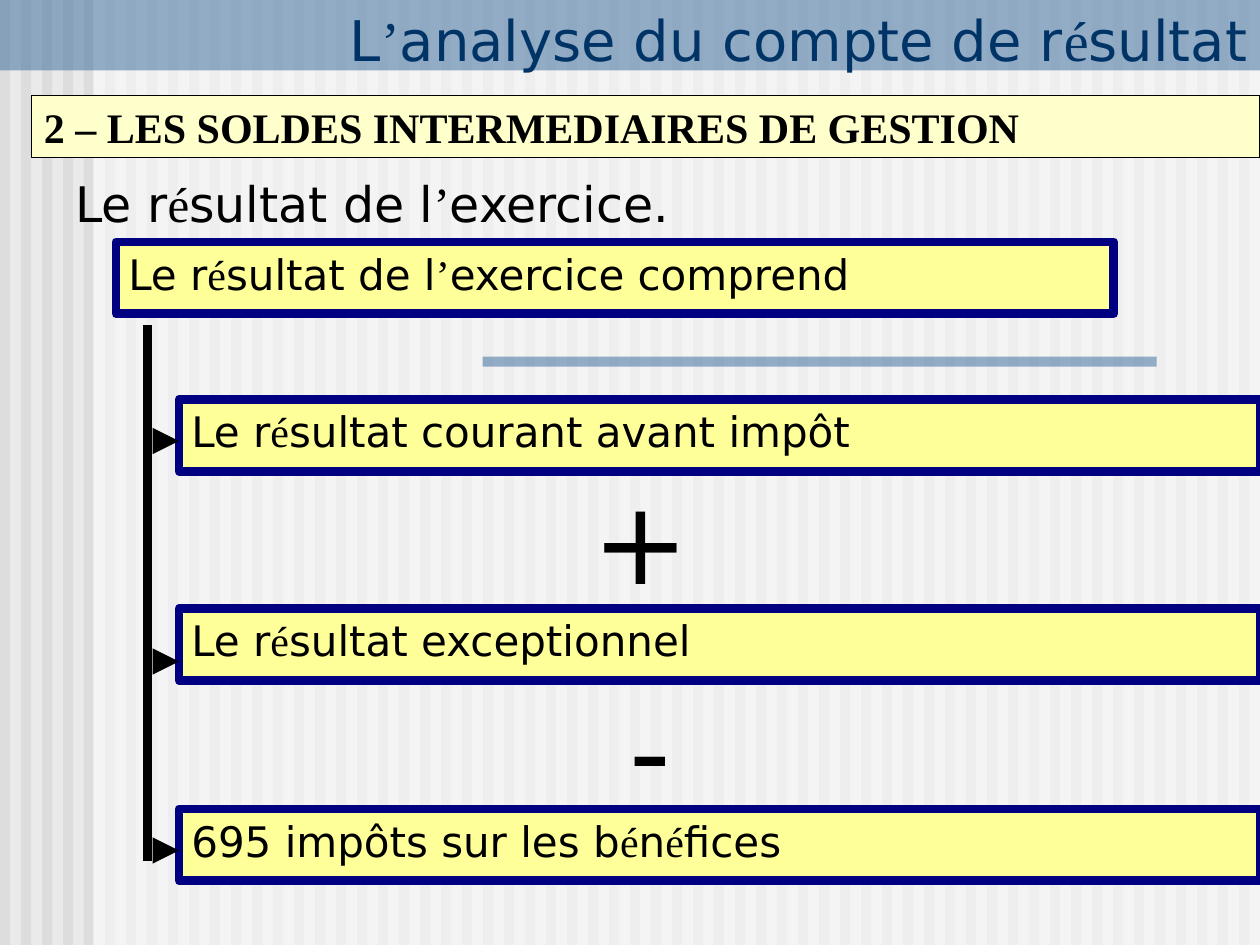
import itertools
from dataclasses import dataclass

import pptx
import pptx.util
import pptx.dml.color
import pptx.enum.shapes
import pptx.enum.text
import pptx.oxml
import pptx.oxml.ns

Inches = pptx.util.Inches
Pt = pptx.util.Pt
ALIGN = pptx.enum.text.PP_ALIGN
ANCHOR = pptx.enum.text.MSO_ANCHOR
FIT = pptx.enum.text.MSO_AUTO_SIZE
RECT = pptx.enum.shapes.MSO_SHAPE.RECTANGLE
STRAIGHT = pptx.enum.shapes.MSO_CONNECTOR.STRAIGHT


@dataclass(frozen=True)
class Theme:
    back: str = "EAEAEA"
    stripe: str = "DDDDDD"
    white: str = "FFFFFF"
    blue: str = "336699"
    title: str = "003366"
    ink: str = "000000"
    cream: str = "FFFFCC"
    yellow: str = "FFFF99"
    navy: str = "000080"
    sans: str = "DejaVu Sans"
    serif: str = "Times New Roman"
    title_size: int = 32
    topic_size: int = 28
    text_size: int = 24
    sign_size: int = 66
    thin: float = 0.75
    thick: float = 5


THEME = Theme()


def rgb(code):
    return pptx.dml.color.RGBColor.from_string(code)


def inch(box):
    return [Inches(value) for value in box]


def add_tag(parent, name, **values):
    tag = pptx.oxml.parse_xml(f"<a:{name} {pptx.oxml.ns.nsdecls('a')}/>")
    for key, value in values.items():
        tag.set(key, value)
    parent.append(tag)


def write(shape, text, size=THEME.text_size, color=THEME.ink, font=THEME.sans,
          bold=False, align=ALIGN.LEFT, anchor=ANCHOR.TOP, fit=FIT.SHAPE_TO_FIT_TEXT):
    frame = shape.text_frame
    frame.word_wrap = True
    frame.auto_size = fit
    frame.vertical_anchor = anchor
    para = frame.paragraphs[0]
    para.alignment = align
    for accent, chars in itertools.groupby(text, lambda char: char in "é’"):
        run = para.add_run()
        run.text = "".join(chars)
        run.font.name = THEME.serif if accent else font
        run.font.size = Pt(size)
        run.font.bold = bold
        run.font.color.rgb = rgb(color)


def add_rect(shapes, box, fill, line=None, width=THEME.thick, alpha=None):
    shape = shapes.add_shape(RECT, *inch(box))
    shape.shadow.inherit = False
    shape.fill.solid()
    shape.fill.fore_color.rgb = rgb(fill)
    if alpha:
        color = shape.fill._xPr.find(".//" + pptx.oxml.ns.qn("a:srgbClr"))
        add_tag(color, "alpha", val=str(alpha * 1000))
    if line:
        shape.line.color.rgb = rgb(line)
        shape.line.width = Pt(width)
    else:
        shape.line.fill.background()
    return shape


def add_line(slide, start, end, arrow=False):
    line = slide.shapes.add_connector(STRAIGHT, *inch(start + end))
    line.line.color.rgb = rgb(THEME.ink)
    line.line.width = Pt(THEME.thick)
    if arrow:
        add_tag(line.line._get_or_add_ln(), "tailEnd", type="triangle")
    add_tag(line.element.spPr, "effectLst")


def add_back(slide, box):
    left, top, width, height = box
    slide.background.fill.solid()
    slide.background.fill.fore_color.rgb = rgb(THEME.back)
    shapes = slide.shapes.add_group_shape().shapes
    count = 60
    for step in range(count):
        add_rect(shapes, (left + step * width / count, top, 0.08, height), THEME.stripe)
    add_rect(shapes, (left + 0.74, top, width - 0.74, height), THEME.white, alpha=50)
    add_rect(shapes, (left, top, width, 0.56), THEME.blue, alpha=50)
    add_rect(slide.shapes, (3.83, 2.83, 5.35, 0.08), THEME.blue, alpha=50)


def add_title(slide, box, text):
    title = slide.shapes.title
    title.left, title.top, title.width, title.height = inch(box)
    write(title, text, size=THEME.title_size, color=THEME.title,
          align=ALIGN.RIGHT, anchor=ANCHOR.BOTTOM, fit=FIT.NONE)
    slide.shapes.element.append(title.element)


def add_head(slide, box, text):
    head = add_rect(slide.shapes, box, THEME.cream, THEME.ink, THEME.thin)
    write(head, text, font=THEME.serif, bold=True, anchor=ANCHOR.MIDDLE, fit=FIT.NONE)


def add_text(slide, box, text, **style):
    write(slide.shapes.add_textbox(*inch(box)), text, **style)


def add_card(slide, box, text):
    write(add_rect(slide.shapes, box, THEME.yellow, THEME.navy), text)


def add_tree(slide, box, root, items, signs):
    left, top, width, height = box
    right, tall = left + width, 0.57
    add_card(slide, (left, top, 7.92, tall), root)
    trunk, branch = left + 0.25, left + 0.5
    add_line(slide, (trunk, top + 0.66), (trunk, top + height - 0.16))
    for text, card, arrow in items:
        add_card(slide, (branch, card, right - branch, tall), text)
        add_line(slide, (trunk + 0.08, arrow), (branch, arrow), arrow=True)
    for text, x, y in signs:
        add_text(slide, (x, y, 2.83, 1.2), text, size=THEME.sign_size, align=ALIGN.CENTER)


def main():
    deck = pptx.Presentation()
    deck.slide_width, deck.slide_height = Inches(10), Inches(7.5)
    slide = deck.slides.add_slide(deck.slide_layouts[0])
    spare = slide.placeholders[1].element
    spare.getparent().remove(spare)

    add_back(slide, (0, 0, 10, 7.5))
    add_title(slide, (1.6, 0, 8.4, 0.63), "L’analyse du compte de résultat")
    add_text(slide, (0.5, 1.33, 8.74, 0.57), "Le résultat de l’exercice.",
             size=THEME.topic_size)
    add_head(slide, (0.25, 0.76, 9.75, 0.49), "2 – LES SOLDES INTERMEDIAIRES DE GESTION")
    add_tree(
        slide, (0.92, 1.92, 9.08, 5.07), "Le résultat de l’exercice comprend",
        [("Le résultat courant avant impôt", 3.17, 3.5),
         ("Le résultat exceptionnel", 4.83, 5.25),
         ("695 impôts sur les bénéfices", 6.42, 6.75)],
        [("+", 3.67, 3.67), ("-", 3.75, 5.33)],
    )
    deck.save("out.pptx")


if __name__ == "__main__":
    main()
